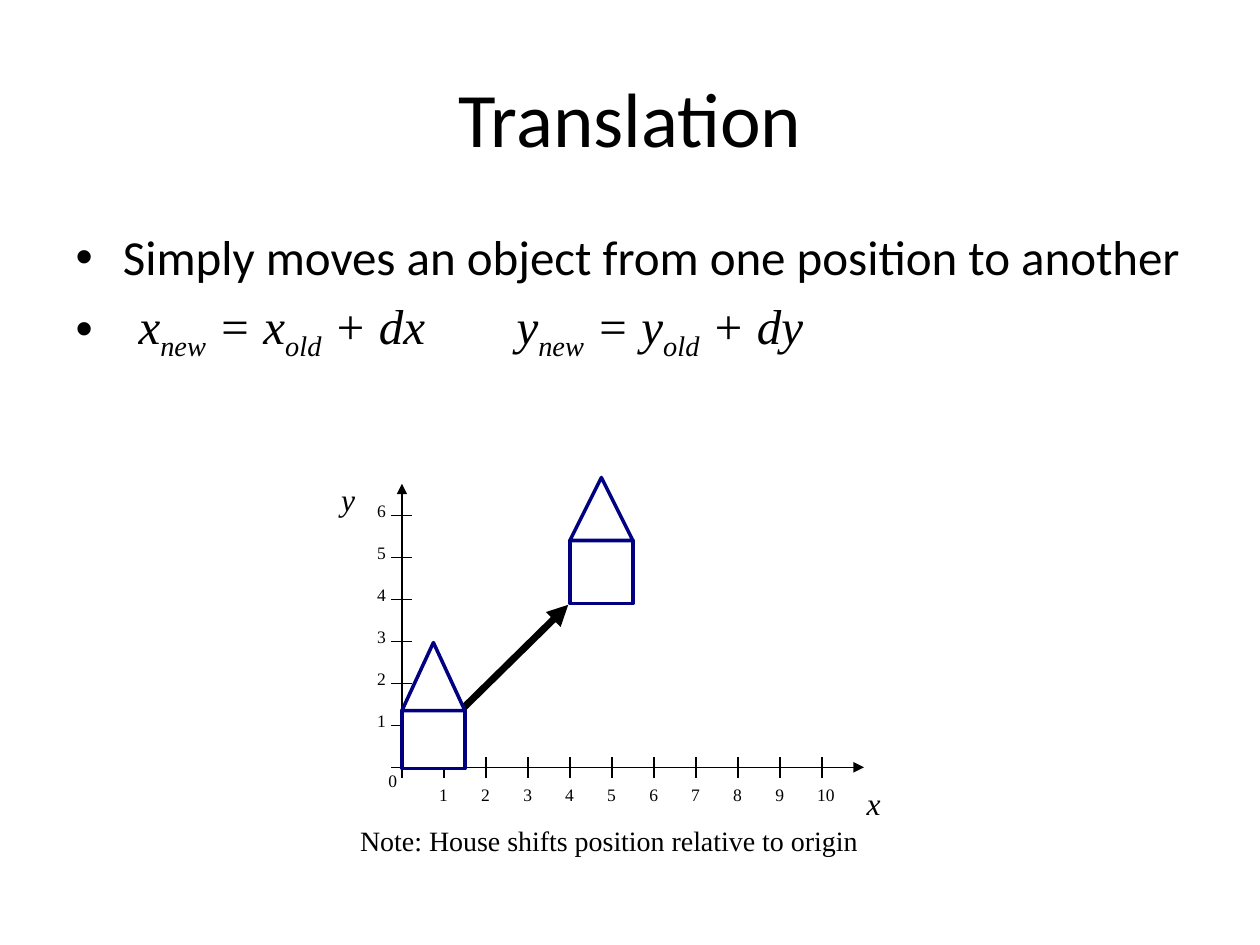
"""Build the slide that explains translation of a house on a grid."""
from dataclasses import dataclass

from lxml.etree import SubElement
from pptx import Presentation
from pptx.dml.color import RGBColor
from pptx.enum.shapes import MSO_CONNECTOR, MSO_SHAPE as Preset
from pptx.enum.text import MSO_ANCHOR as Anchor, PP_ALIGN as Align
from pptx.oxml.ns import qn
from pptx.util import Inches, Pt

BLACK, WHITE, NAVY = "000000", "FFFFFF", "000080"
SERIF, SANS = "Times New Roman", "Calibri"
ORIGIN_X, ORIGIN_Y, UNIT = 3.19, 6.09, 1 / 3
TICK = 0.25


@dataclass
class Line:
    """A line between two grid points."""
    start: tuple[float, float]
    end: tuple[float, float]
    width: float = 0.75
    arrow: bool = False


@dataclass
class House:
    """A house with its lower left corner at a grid point."""
    column: float
    row: float
    wall: float
    roof: float
    width: float = 1.5


@dataclass
class Label:
    """A text box given in inches."""
    text: str
    left: float
    top: float
    width: float = 0.31
    height: float = 0.27
    size: int = 10
    italic: bool = False
    wrap: bool = False


def color(value: str) -> RGBColor:
    """Turn a hex string into a colour."""
    return RGBColor.from_string(value)


def grid(column: float, row: float) -> tuple[int, int]:
    """Turn a grid point into a slide position."""
    return Inches(ORIGIN_X + column * UNIT), Inches(ORIGIN_Y - row * UNIT)


def add_text(paragraph, text: str, *, size: float, font: str = SERIF,
             italic: bool = False, baseline: int = 0) -> None:
    """Add one formatted run."""
    run = paragraph.add_run()
    run.text = text
    run.font.size, run.font.name, run.font.italic = Pt(size), font, italic
    run.font.color.rgb = color(BLACK)
    if baseline:
        run.font._element.set("baseline", str(baseline * 1000))


def add_label(shapes, label: Label) -> None:
    """Draw one text box."""
    box = shapes.add_textbox(*map(Inches, (label.left, label.top, label.width, label.height)))
    box.text_frame.word_wrap = label.wrap
    add_text(box.text_frame.paragraphs[0], label.text, size=label.size, italic=label.italic)


def add_line(shapes, line: Line) -> None:
    """Draw one line, with an arrowhead if asked."""
    connector = shapes.add_connector(MSO_CONNECTOR.STRAIGHT, *grid(*line.start), *grid(*line.end))
    connector.line.width = Pt(line.width)
    connector.line.color.rgb = color(BLACK)
    if line.arrow:
        SubElement(connector.line._get_or_add_ln(), qn("a:tailEnd"), type="triangle")
    SubElement(connector._element.spPr, qn("a:effectLst"))


def add_house(shapes, house: House) -> None:
    """Draw the wall and the roof of a house."""
    eaves = house.row + house.wall
    parts = ((Preset.RECTANGLE, eaves, house.wall),
             (Preset.ISOSCELES_TRIANGLE, eaves + house.roof, house.roof))
    for preset, top, height in parts:
        shape = shapes.add_shape(preset, *grid(house.column, top),
                                 Inches(house.width * UNIT), Inches(height * UNIT))
        shape.shadow.inherit = False
        shape.fill.solid()
        shape.fill.fore_color.rgb = color(WHITE)
        shape.line.color.rgb = color(NAVY)
        shape.line.width = Pt(2)


def place(shape, left: float, top: float, width: float, height: float) -> None:
    """Move a placeholder to a place in inches."""
    shape.left, shape.top, shape.width, shape.height = map(Inches, (left, top, width, height))


def add_heading(slide) -> None:
    """Fill the title and the list."""
    title, body = slide.placeholders
    place(title, 0.5, 0.3, 9, 1.25)
    title.text_frame.vertical_anchor = Anchor.MIDDLE
    heading = title.text_frame.paragraphs[0]
    heading.alignment = Align.CENTER
    add_text(heading, "Translation", size=44, font=SANS)

    place(body, 0.5, 1.75, 9, 4.95)
    statement = body.text_frame.paragraphs[0]
    add_text(statement, "Simply moves an object from one position to another", size=28, font=SANS)
    formula = body.text_frame.add_paragraph()
    add_text(formula, "\t", size=28, font=SANS)
    for text, subscript in (("x", "new"), (" = x", "old"), (" + dx\t\ty", "new"),
                            (" = y", "old"), (" + dy", "")):
        add_text(formula, text, size=28, italic=True)
        if subscript:
            add_text(formula, subscript, size=28, italic=True, baseline=-25)


def add_diagram(shapes) -> None:
    """Draw the axes, the labels and both houses."""
    columns, rows = range(1, 11), range(1, 7)
    lines = [Line((0, -TICK), (0, 6.75), arrow=True), Line((-TICK, 0), (11, 0), arrow=True)]
    lines += [Line((column, TICK), (column, -TICK)) for column in columns]
    lines += [Line((-TICK, row), (TICK, row)) for row in rows]
    labels = [Label("Note: House shifts position relative to origin",
                    2.76, 6.49, 4.63, 0.37, 16, wrap=True),
              Label("y", 2.61, 3.76, 0.33, 0.4, 18, True, True),
              Label("x", 6.78, 6.17, 0.33, 0.4, 18, True, True),
              Label(" 0", 2.95, 6.06)]
    labels += [Label(f" {column}", ORIGIN_X + column * UNIT - 0.17, 6.17,
                     0.37 if column > 9 else 0.31) for column in columns]
    labels += [Label(f" {row}", 2.86, ORIGIN_Y - row * UNIT - 0.17) for row in rows]
    for line in lines:
        add_line(shapes, line)
    for label in labels:
        add_label(shapes, label)
    add_house(shapes, House(4, 3.9, 1.5, 1.5))
    add_line(shapes, Line((1.4, 1.35), (3.96, 3.87), 4, True))
    add_house(shapes, House(0, -0.03, 1.38, 1.62))


def main() -> None:
    """Build and save the presentation."""
    presentation = Presentation()
    presentation.slide_width, presentation.slide_height = Inches(10), Inches(7.5)
    slide = presentation.slides.add_slide(presentation.slide_layouts[1])
    add_heading(slide)
    add_diagram(slide.shapes)
    presentation.save("out.pptx")


main()
